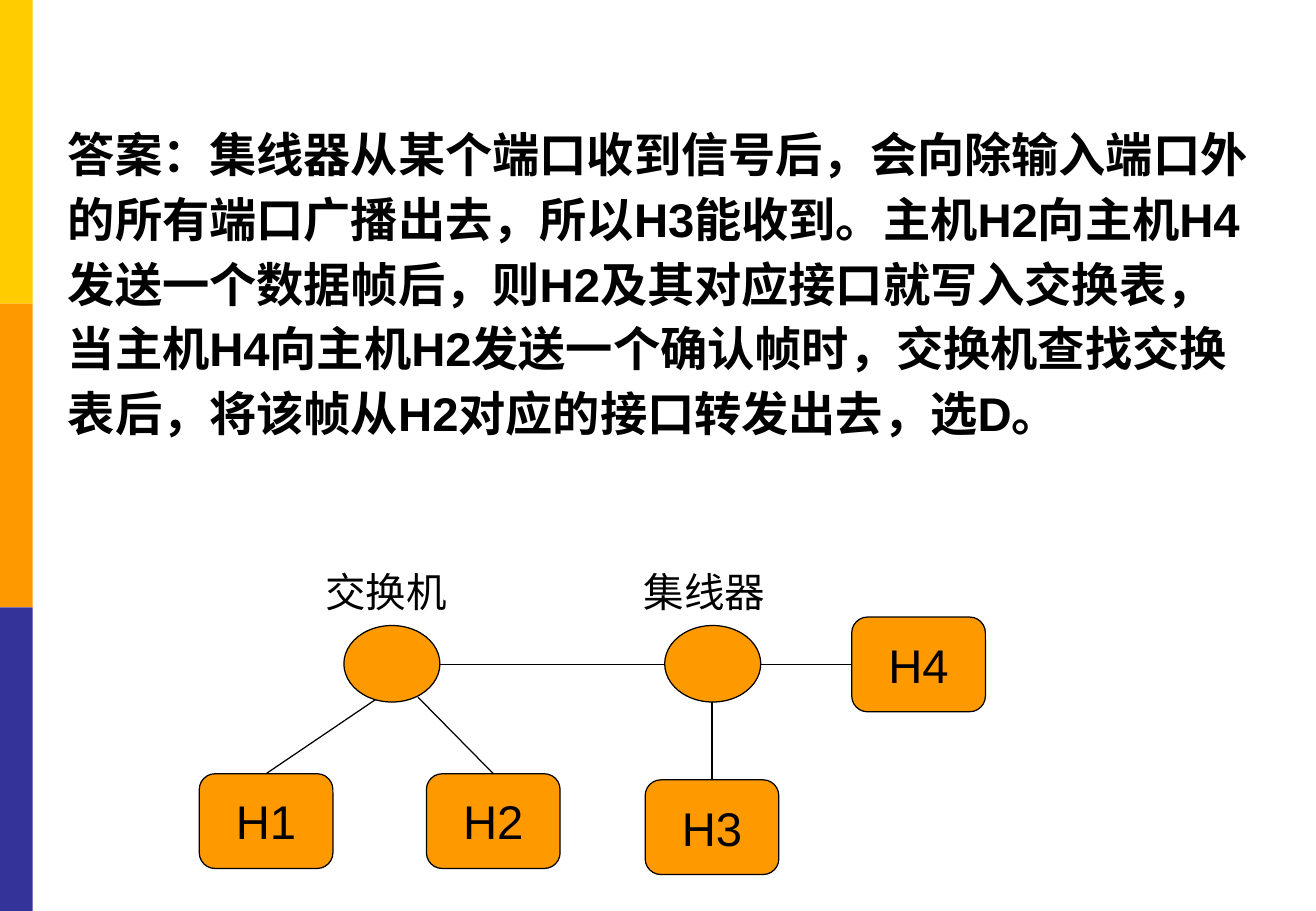
from dataclasses import dataclass

from lxml.etree import SubElement
from pptx import Presentation
from pptx.dml.color import RGBColor
from pptx.enum.shapes import MSO_CONNECTOR, MSO_SHAPE
from pptx.enum.text import MSO_ANCHOR, PP_ALIGN
from pptx.oxml.ns import qn
from pptx.util import Pt

PX = 9144
WIDE, HIGH = 1083, 750


@dataclass(frozen=True)
class Theme:
    font: str = "Arial"
    ink: str = "000000"
    gold: str = "FFCC00"
    orange: str = "FF9900"
    blue: str = "333399"
    body: int = 28
    label: int = 24
    line: float = 0.75


class Deck:
    """Draws the elements of one slide in one theme."""

    def __init__(self, slide, theme):
        self.shapes = slide.shapes
        self.theme = theme

    def style(self, para, size, bold=False):
        font = para.font
        font.name = self.theme.font
        font.size = Pt(size)
        font.bold = bold
        font.color.rgb = RGBColor.from_string(self.theme.ink)

    def edge(self, line):
        line.color.rgb = RGBColor.from_string(self.theme.ink)
        line.width = Pt(self.theme.line)

    def shape(self, kind, box, fill, lined=True):
        shape = self.shapes.add_shape(kind, *(n * PX for n in box))
        shape.shadow.inherit = False
        shape.fill.solid()
        shape.fill.fore_color.rgb = RGBColor.from_string(fill)
        if lined:
            self.edge(shape.line)
        else:
            shape.line.fill.background()
        return shape

    def hub(self, x, y):
        self.shape(MSO_SHAPE.OVAL, (x, y, 79, 63), self.theme.orange)

    def host(self, name, x, y):
        box = (x, y, 110, 78)
        shape = self.shape(MSO_SHAPE.FLOWCHART_ALTERNATE_PROCESS, box, self.theme.orange)
        frame = shape.text_frame
        frame.vertical_anchor = MSO_ANCHOR.MIDDLE
        para = frame.paragraphs[0]
        para.text = name
        para.alignment = PP_ALIGN.CENTER
        self.style(para, self.theme.body)
        return shape

    def text(self, words, box, size, bold=False, space=1.0):
        frame = self.shapes.add_textbox(*(n * PX for n in box)).text_frame
        frame.word_wrap = True
        para = frame.paragraphs[0]
        para.text = words
        para.line_spacing = space
        self.style(para, size, bold)

    def link(self, start, end, host=None, side=0):
        ends = (n * PX for n in start + end)
        line = self.shapes.add_connector(MSO_CONNECTOR.STRAIGHT, *ends)
        self.edge(line.line)
        SubElement(line._element.spPr, qn("a:effectLst"))
        if host:
            line.end_connect(host, side)


def main():
    show = Presentation()
    show.slide_width, show.slide_height = WIDE * PX, HIGH * PX
    theme = Theme()
    deck = Deck(show.slides.add_slide(show.slide_layouts[6]), theme)

    band = HIGH // 3
    for i, fill in enumerate((theme.gold, theme.orange, theme.blue)):
        deck.shape(MSO_SHAPE.RECTANGLE, (0, i * band, 27, band), fill, lined=False)

    answer = (
        "答案：集线器从某个端口收到信号后，会向除输入端口外的所有端口广播出去，"
        "所以H3能收到。主机H2向主机H4发送一个数据帧后，则H2及其对应接口就写入交换表，"
        "当主机H4向主机H2发送一个确认帧时，交换机查找交换表后，"
        "将该帧从H2对应的接口转发出去，选D。"
    )
    deck.text(answer, (46, 92, 991, 291), theme.body, bold=True, space=1.14)

    for name, x, left in (("交换机", 283, 258), ("集线器", 547, 520)):
        deck.hub(x, 515)
        deck.text(name, (left, 462, 134, 50), theme.label)

    spots = {"H1": (164, 637), "H2": (351, 637), "H3": (531, 642), "H4": (701, 508)}
    hosts = {name: deck.host(name, *spot) for name, spot in spots.items()}

    deck.link((361, 547), (547, 547))
    deck.link((309, 576), (219, 637), hosts["H1"])
    deck.link((344, 574), (406, 637), hosts["H2"])
    deck.link((586, 578), (586, 642), hosts["H3"])
    deck.link((626, 547), (701, 547), hosts["H4"], 1)

    show.save("out.pptx")


if __name__ == "__main__":
    main()
